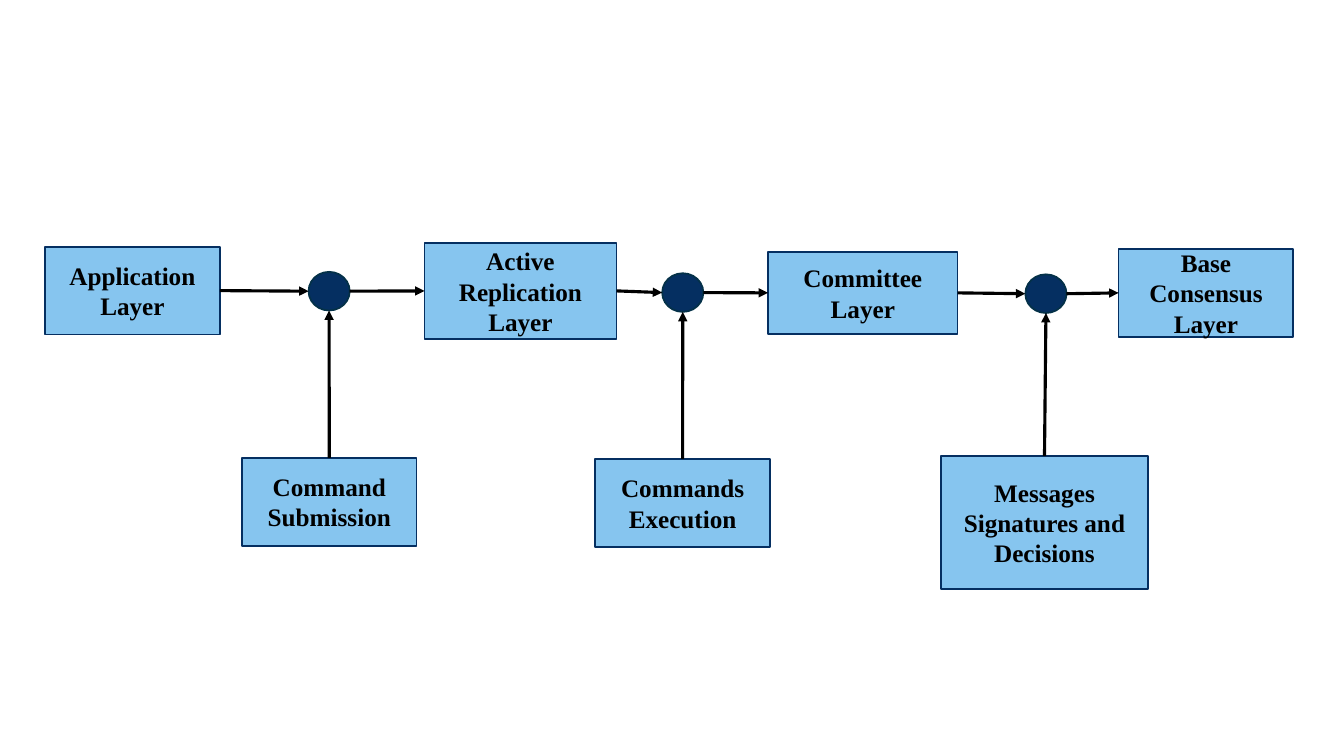
from dataclasses import dataclass
from enum import IntEnum

from lxml.etree import SubElement
from pptx import Presentation
from pptx.dml.color import RGBColor
from pptx.enum.shapes import MSO_CONNECTOR as Line, MSO_SHAPE as Preset
from pptx.enum.text import MSO_ANCHOR as Anchor, PP_ALIGN as Align
from pptx.oxml.ns import qn
from pptx.shapes.autoshape import Shape
from pptx.shapes.shapetree import SlideShapes
from pptx.util import Pt


@dataclass(frozen=True)
class Theme:
    """Colours, font and sizes of the diagram."""
    box_fill: RGBColor = RGBColor(0x86, 0xC5, 0xEF)
    navy: RGBColor = RGBColor(0x05, 0x2F, 0x61)
    node_line: RGBColor = RGBColor(0x04, 0x31, 0x48)
    ink: RGBColor = RGBColor(0, 0, 0)
    font: str = "Times New Roman"
    text_size: Pt = Pt(18)
    outline: Pt = Pt(1.25)
    arrow: Pt = Pt(2.25)


@dataclass(frozen=True)
class Box:
    """A labelled rectangle, in points."""
    label: str
    left: float
    top: float
    width: float = 124.8
    height: float = 62.8


@dataclass(frozen=True)
class Node:
    """A round junction between two layers, in points."""
    left: float
    top: float
    width: float = 29.4
    height: float = 27.6


class Side(IntEnum):
    """Connection sites of a rectangle, counted anticlockwise from the top."""
    TOP = 0
    LEFT = 1
    BOTTOM = 2
    RIGHT = 3


THEME = Theme()
LAYERS = [
    Box("Application Layer", 32.2, 176.2),
    Box("Active Replication Layer", 303.2, 173.6, 137.2, 68.4),
    Box("Committee Layer", 548.6, 180, 135.4, 58.4),
    Box("Base Consensus Layer", 799, 177.8),
]
INPUTS = [
    Box("Command Submission", 172.8, 327),
    Box("Commands Execution", 425.2, 327.8),
    Box("Messages Signatures and Decisions", 672.2, 325.6, 147.8, 95),
]
NODES = [Node(220.4, 194.2), Node(473, 195.2), Node(732.4, 196)]


def add_preset(shapes: SlideShapes, preset: Preset, place: Box | Node,
               fill: RGBColor, outline: RGBColor) -> Shape:
    """Draw a filled and outlined preset shape."""
    shape = shapes.add_shape(preset, Pt(place.left), Pt(place.top),
                             Pt(place.width), Pt(place.height))
    shape.shadow.inherit = False
    shape.fill.solid()
    shape.fill.fore_color.rgb = fill
    shape.line.color.rgb = outline
    shape.line.width = THEME.outline
    return shape


def add_box(shapes: SlideShapes, box: Box) -> Shape:
    """Draw a rectangle with its centred bold label."""
    shape = add_preset(shapes, Preset.RECTANGLE, box, THEME.box_fill, THEME.navy)
    frame = shape.text_frame
    frame.word_wrap = True
    frame.vertical_anchor = Anchor.MIDDLE
    paragraph = frame.paragraphs[0]
    paragraph.alignment = Align.CENTER
    run = paragraph.add_run()
    run.text = box.label
    run.font.name = THEME.font
    run.font.size = THEME.text_size
    run.font.bold = True
    run.font.color.rgb = THEME.ink
    return shape


def add_node(shapes: SlideShapes, node: Node) -> Shape:
    """Draw a junction circle."""
    return add_preset(shapes, Preset.OVAL, node, THEME.navy, THEME.node_line)


def side_point(shape: Shape, side: Side) -> tuple[int, int]:
    """Return the middle of one side of a shape."""
    across, down = {Side.TOP: (1, 0), Side.LEFT: (0, 1),
                    Side.BOTTOM: (1, 2), Side.RIGHT: (2, 1)}[side]
    return (shape.left + shape.width * across // 2,
            shape.top + shape.height * down // 2)


def add_arrow(shapes: SlideShapes, source: Shape, source_side: Side,
              target: Shape, target_side: Side) -> None:
    """Draw an arrow attached to the sides of two shapes."""
    arrow = shapes.add_connector(Line.STRAIGHT, *side_point(source, source_side),
                                 *side_point(target, target_side))
    arrow.line.color.rgb = THEME.ink
    arrow.line.width = THEME.arrow
    element = arrow._element
    SubElement(arrow.line._get_or_add_ln(), qn("a:tailEnd"), type="triangle")
    SubElement(element.spPr, qn("a:effectLst"))
    glue = element.nvCxnSpPr.cNvCxnSpPr
    for tag, shape, side in (("a:stCxn", source, source_side),
                             ("a:endCxn", target, target_side)):
        # An oval has eight sites, so its sides are every second one.
        step = 2 if shape.auto_shape_type == Preset.OVAL else 1
        SubElement(glue, qn(tag), id=str(shape.shape_id), idx=str(side * step))


def main() -> None:
    """Build the layer diagram."""
    deck = Presentation()
    deck.slide_width, deck.slide_height = Pt(960), Pt(540)
    shapes = deck.slides.add_slide(deck.slide_layouts[6]).shapes

    layers = [add_box(shapes, box) for box in LAYERS]
    inputs = [add_box(shapes, box) for box in INPUTS]
    nodes = [add_node(shapes, node) for node in NODES]
    for before, node, after, feed in zip(layers, nodes, layers[1:], inputs):
        add_arrow(shapes, before, Side.RIGHT, node, Side.LEFT)
        add_arrow(shapes, node, Side.RIGHT, after, Side.LEFT)
        add_arrow(shapes, feed, Side.TOP, node, Side.BOTTOM)

    deck.save("out.pptx")


main()
